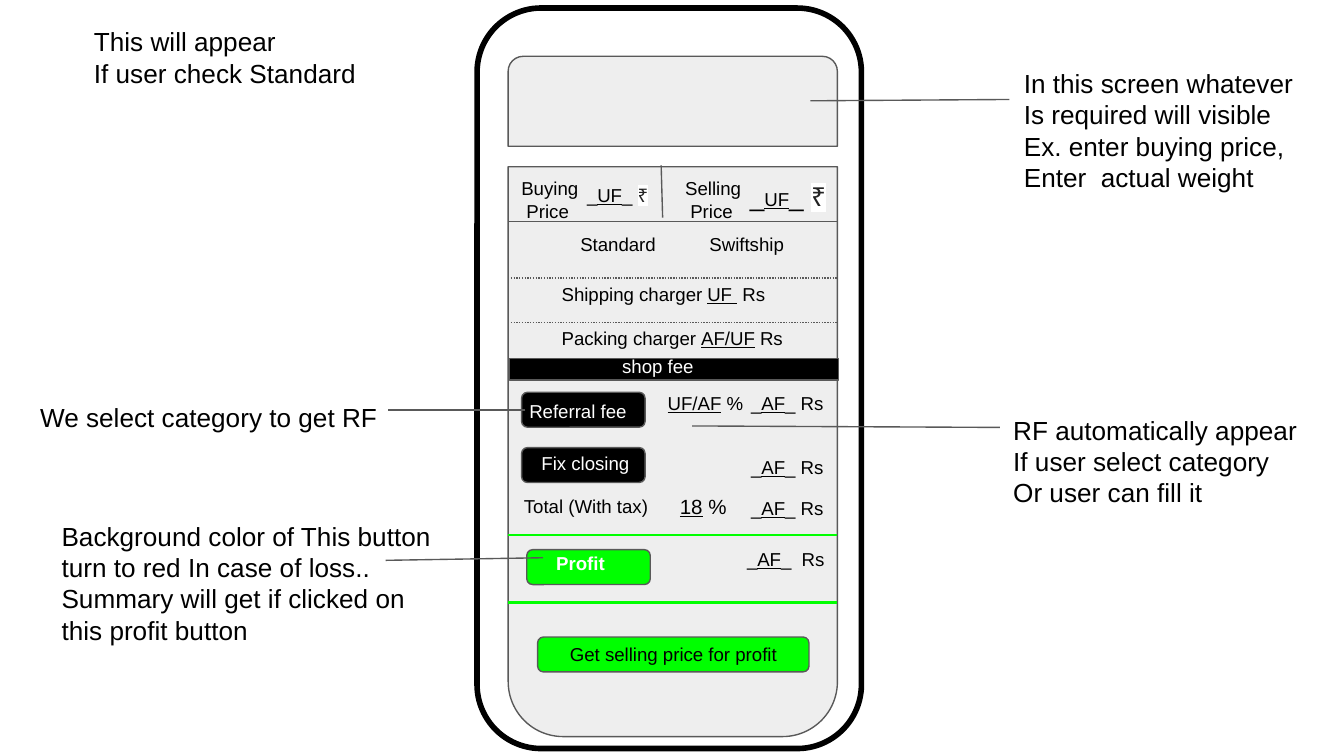
from dataclasses import dataclass
from typing import Optional

from lxml.etree import SubElement
from pptx import Presentation
from pptx.dml.color import RGBColor
from pptx.enum.dml import MSO_LINE
from pptx.enum.shapes import MSO_CONNECTOR, MSO_SHAPE
from pptx.enum.text import MSO_ANCHOR, PP_ALIGN
from pptx.oxml import parse_xml
from pptx.oxml.ns import nsdecls, qn
from pptx.util import Pt

BLACK = RGBColor(0, 0, 0)
WHITE = RGBColor(255, 255, 255)
GREY = RGBColor(0x59, 0x59, 0x59)
PALE = RGBColor(0xEE, 0xEE, 0xEE)
DARK = RGBColor(0x22, 0x22, 0x22)
GREEN = RGBColor(0, 255, 0)

LEFT, RIGHT, WIDE = 272.2, 448.2, 176.4
ROUND, TOP = MSO_SHAPE.ROUNDED_RECTANGLE, MSO_SHAPE.ROUND_2_SAME_RECTANGLE
GLOW = (f'<a:effectLst {nsdecls("a")}><a:outerShdw blurRad="38100" dist="19050" dir="2700000">'
        '<a:srgbClr val="000000"><a:alpha val="40000"/></a:srgbClr></a:outerShdw></a:effectLst>')
MARK = f'<a:highlight {nsdecls("a")}><a:srgbClr val="FFFFFF"/></a:highlight>'


@dataclass
class Box:
    """A filled or outlined preset shape."""
    kind: MSO_SHAPE
    x: float
    y: float
    w: float
    h: float
    fill: Optional[RGBColor] = None
    line: RGBColor = GREY
    width: float = 0.75
    turn: float = 0
    text: str = ""


@dataclass
class Label:
    """A text; parts between bars are underlined, new lines are paragraphs."""
    text: str
    x: float
    y: float
    w: float
    h: float = 25.2
    size: float = 10
    color: RGBColor = BLACK
    bold: bool = False
    under: float = 0


@dataclass
class Rule:
    """A straight line."""
    x1: float
    y1: float
    x2: float
    y2: float
    color: RGBColor = GREY
    width: float = 0.75
    dash: Optional[MSO_LINE] = None


def add_run(para, text: str, style: dict, color: RGBColor) -> None:
    """Add one run, with a white mark behind a rupee sign."""
    run = para.add_run()
    run.text = text
    for key, value in style.items():
        setattr(run.font, key, value)
    rupee = text == "₹"
    run.font.color.rgb = DARK if rupee else color
    extra = MARK if rupee else GLOW if style["bold"] else None
    if extra:
        run.font.fill._xPr.find(qn("a:solidFill")).addnext(parse_xml(extra))


def fill_text(frame, item: Label) -> None:
    """Write the paragraphs and runs of a label into a frame."""
    frame.word_wrap = True
    for side in ("left", "right", "top", "bottom"):
        setattr(frame, f"margin_{side}", Pt(7.2))
    for row, text in enumerate(item.text.split("\n")):
        para = frame.add_paragraph() if row else frame.paragraphs[0]
        for pos, part in enumerate(text.split("|")):
            lined = pos % 2 == 1
            size = item.under if lined and item.under else item.size
            style = {"name": "Arial", "size": Pt(size), "bold": item.bold, "underline": lined}
            if part:
                add_run(para, part, style, item.color)


def add_box(slide, item: Box) -> None:
    """Draw one preset shape."""
    shape = slide.shapes.add_shape(item.kind, Pt(item.x), Pt(item.y), Pt(item.w), Pt(item.h))
    shape.shadow.inherit = False
    shape.rotation = item.turn
    if item.fill is None:
        shape.fill.background()
    else:
        shape.fill.solid()
        shape.fill.fore_color.rgb = item.fill
    shape.line.color.rgb = item.line
    shape.line.width = Pt(item.width)
    if item.text:
        frame = shape.text_frame
        fill_text(frame, Label(item.text, item.x, item.y, item.w))
        frame.vertical_anchor = MSO_ANCHOR.MIDDLE
        frame.paragraphs[0].alignment = PP_ALIGN.CENTER


def add_label(slide, item: Label) -> None:
    """Draw one text box."""
    box = slide.shapes.add_textbox(Pt(item.x), Pt(item.y), Pt(item.w), Pt(item.h))
    fill_text(box.text_frame, item)


def add_rule(slide, item: Rule) -> None:
    """Draw one line without shadow."""
    ends = [Pt(v) for v in (item.x1, item.y1, item.x2, item.y2)]
    rule = slide.shapes.add_connector(MSO_CONNECTOR.STRAIGHT, *ends)
    style = {"width": Pt(item.width), "dash_style": item.dash}
    rule.line.color.rgb = item.color
    for key, value in style.items():
        setattr(rule.line, key, value)
    SubElement(rule._element.spPr, qn("a:effectLst"))


def button(x: float, y: float, fill: RGBColor, w: float = 66.2, text: str = "") -> Box:
    """Return a rounded button."""
    return Box(ROUND, x, y, w, 18.7, fill, text=text)


def across(y: float, *look) -> Rule:
    """Return a rule over the full width of the form."""
    return Rule(LEFT, y, RIGHT, y, *look)


def note(text: str, x: float, y: float, w: float, h: float) -> Label:
    """Return a large note beside the phone."""
    return Label(text, x, y, w, h, 14)


BOXES = [
    Box(ROUND, 255.6, 4.3, 205.9, 396.7, None, BLACK, 3),
    Box(TOP, LEFT, 30.2, WIDE, 48.2, PALE),
    Box(TOP, LEFT, 89.3, WIDE, 305.3, PALE, turn=180),
    Box(MSO_SHAPE.RECTANGLE, 272.9, 192.2, WIDE, 11.5, BLACK),
    button(279.4, 210.2, BLACK),
    button(279.4, 239.8, BLACK),
    button(282.2, 294.5, GREEN),
    button(288, 341.3, GREEN, 145.4, "Get selling price for profit"),
]

LABELS = [
    Label("Buying\n Price", 272.2, 87.8, 106.6, 32.4),
    Label("Selling\n Price", 360, 87.8, 87.8, 32.4),
    Label("_|UF|_ ||₹", 307.4, 92.2, 54, 36.7),
    Label("_|UF|_ ||₹", 394.6, 89.3, 66.2, 36.7, 14, under=10),
    Label("Standard", 303.8, 118.8, 58.3),
    Label("Swiftship", 373, 118.8, 82.1),
    Label("Shipping charger |UF | Rs", 293.8, 145.4, 127.4),
    Label("Packing charger |AF/UF| Rs", 293.8, 169.2, 145.4),
    Label("shop fee", 326.2, 184.3, 87.8, color=WHITE),
    Label("Referral fee", 276.5, 208.1, 77, color=WHITE),
    Label("Fix closing", 283, 236.2, 77, color=WHITE),
    Label("Total (With tax)", 273.6, 259.2, 95),
    Label("|UF/AF| %", 350.6, 203.8, 66.2),
    Label("|18| %", 357.1, 257.8, 47.5, size=11),
    *(Label("_|AF|_ Rs", 395.3, y, 66.2) for y in (203.8, 238.3, 259.9)),
    Label("_|AF|_  Rs", 393.1, 287.3, 58.3),
    Label("Profit", 290.9, 289.4, 87.8, 18.7, color=WHITE, bold=True),
    note("This will appear\nIf user check Standard", 43.2, 6.5, 171.4, 82.8),
    note("In this screen whatever\nIs required will visible\nEx. enter buying price,\n"
         "Enter  actual weight", 541.4, 28.8, 171.4, 82.8),
    note("RF automatically appear\nIf user select category\nOr user can fill it",
         535.7, 214.6, 171.4, 82.8),
    note("We select category to get RF", 14.4, 208.1, 221, 60.5),
    note("Background color of This button turn to red In case of loss..\n"
         "Summary will get if clicked on this profit button", 25.9, 271.4, 221, 93.6),
]

RULES = [
    across(118.8),
    *(across(y, GREY, 0.75, MSO_LINE.ROUND_DOT) for y in (149, 172.8)),
    *(across(y, GREEN, 1.5) for y in (286.6, 322.6)),
    Rule(354.2, 88.6, 355, 116.6),
    Rule(434.2, 54, 540.7, 53.3),
    Rule(290.9, 298.8, 206.6, 300.2),
    Rule(281.5, 219.6, 208.1, 219.6),
    Rule(370.8, 228.2, 535.7, 229),
]


def main() -> None:
    """Build and save the slide."""
    deck = Presentation()
    deck.slide_width, deck.slide_height = Pt(720), Pt(405)
    slide = deck.slides.add_slide(deck.slide_layouts[6])
    for draw, items in ((add_box, BOXES), (add_label, LABELS), (add_rule, RULES)):
        for item in items:
            draw(slide, item)
    deck.save("out.pptx")


main()
